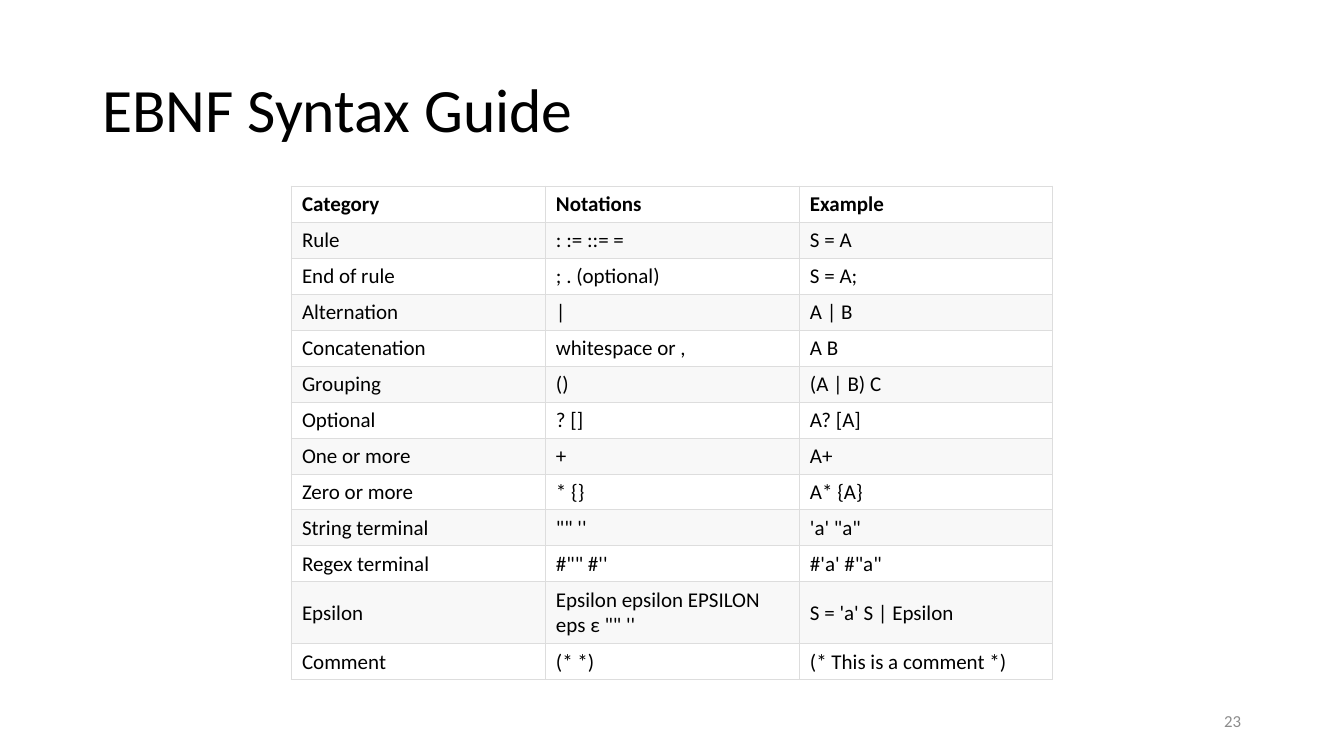
from lxml.etree import SubElement
from pptx import Presentation
from pptx.dml.color import RGBColor
from pptx.enum.text import MSO_ANCHOR as ANCHOR, PP_ALIGN as ALIGN
from pptx.oxml.ns import qn
from pptx.util import Emu, Pt

WIDTH, HEIGHT = 1344, 756
EMU_PER_PX = 12192000 / WIDTH
FONT = "Calibri"
BLACK, WHITE, BAND, RULE, GREY = "000000", "FFFFFF", "F8F8F8", "DDDDDD", "8C8C8C"
ROW_H, TALL_ROW_H = 36, 62

SYNTAX = [
    ("Category", "Notations", "Example"),
    ("Rule", ": := ::= =", "S = A"),
    ("End of rule", "; . (optional)", "S = A;"),
    ("Alternation", "|", "A | B"),
    ("Concatenation", "whitespace or ,", "A B"),
    ("Grouping", "()", "(A | B) C"),
    ("Optional", "? []", "A? [A]"),
    ("One or more", "+", "A+"),
    ("Zero or more", "* {}", "A* {A}"),
    ("String terminal", "\"\" ''", "'a' \"a\""),
    ("Regex terminal", "#\"\" #''", "#'a' #\"a\""),
    ("Epsilon", "Epsilon epsilon EPSILON eps ε \"\" ''", "S = 'a' S | Epsilon"),
    ("Comment", "(* *)", "(* This is a comment *)"),
]


def px(n):
    return Emu(round(n * EMU_PER_PX))


def rgb(color):
    return RGBColor.from_string(color)


def write(tf, text, size, color=BLACK, bold=False, align=ALIGN.LEFT):
    tf.text = text
    p = tf.paragraphs[0]
    p.alignment = align
    font = p.runs[0].font
    font.name, font.size, font.bold = FONT, Pt(size), bold
    font.color.rgb = rgb(color)
    return p


def add_title(slide, text, x, y, w, h):
    sp = slide.shapes.title
    sp.left, sp.top, sp.width, sp.height = px(x), px(y), px(w), px(h)
    sp.text_frame.vertical_anchor = ANCHOR.MIDDLE
    write(sp.text_frame, text, 44).line_spacing = 0.9


def add_page_number(slide, text, x, y, w, h):
    tf = slide.shapes.add_textbox(px(x), px(y), px(w), px(h)).text_frame
    tf.word_wrap = True
    tf.vertical_anchor = ANCHOR.MIDDLE
    write(tf, text, 12, GREY, align=ALIGN.RIGHT)


def set_borders(cell, color):
    tcPr = cell._tc.get_or_add_tcPr()
    for side in ("lnL", "lnR", "lnT", "lnB"):
        ln = SubElement(tcPr, qn(f"a:{side}"), w=str(Pt(0.75)))
        fill = SubElement(ln, qn("a:solidFill"))
        SubElement(fill, qn("a:srgbClr"), val=color)


def add_syntax_table(slide, rows, x, y, w):
    heights = [TALL_ROW_H if row[0] == "Epsilon" else ROW_H for row in rows]
    cols = len(rows[0])
    table = slide.shapes.add_table(
        len(rows), cols, px(x), px(y), px(w), px(sum(heights))).table
    for col in table.columns:
        col.width = px(w / cols)
    for i, row in enumerate(rows):
        table.rows[i].height = px(heights[i])
        for j, text in enumerate(row):
            cell = table.cell(i, j)
            cell.margin_left = cell.margin_right = px(11)
            cell.margin_top = cell.margin_bottom = px(5)
            cell.vertical_anchor = ANCHOR.MIDDLE
            set_borders(cell, RULE)
            cell.fill.solid()
            cell.fill.fore_color.rgb = rgb(BAND if i % 2 else WHITE)
            write(cell.text_frame, text, 15, bold=i == 0)


def main():
    prs = Presentation()
    prs.slide_width, prs.slide_height = px(WIDTH), px(HEIGHT)
    slide = prs.slides.add_slide(prs.slide_layouts[5])
    add_title(slide, "EBNF Syntax Guide", 92, 40, 1159, 146)
    add_page_number(slide, "23", 949, 701, 302, 40)
    add_syntax_table(slide, SYNTAX, 291, 186, 762)
    prs.save("out.pptx")


if __name__ == "__main__":
    main()
